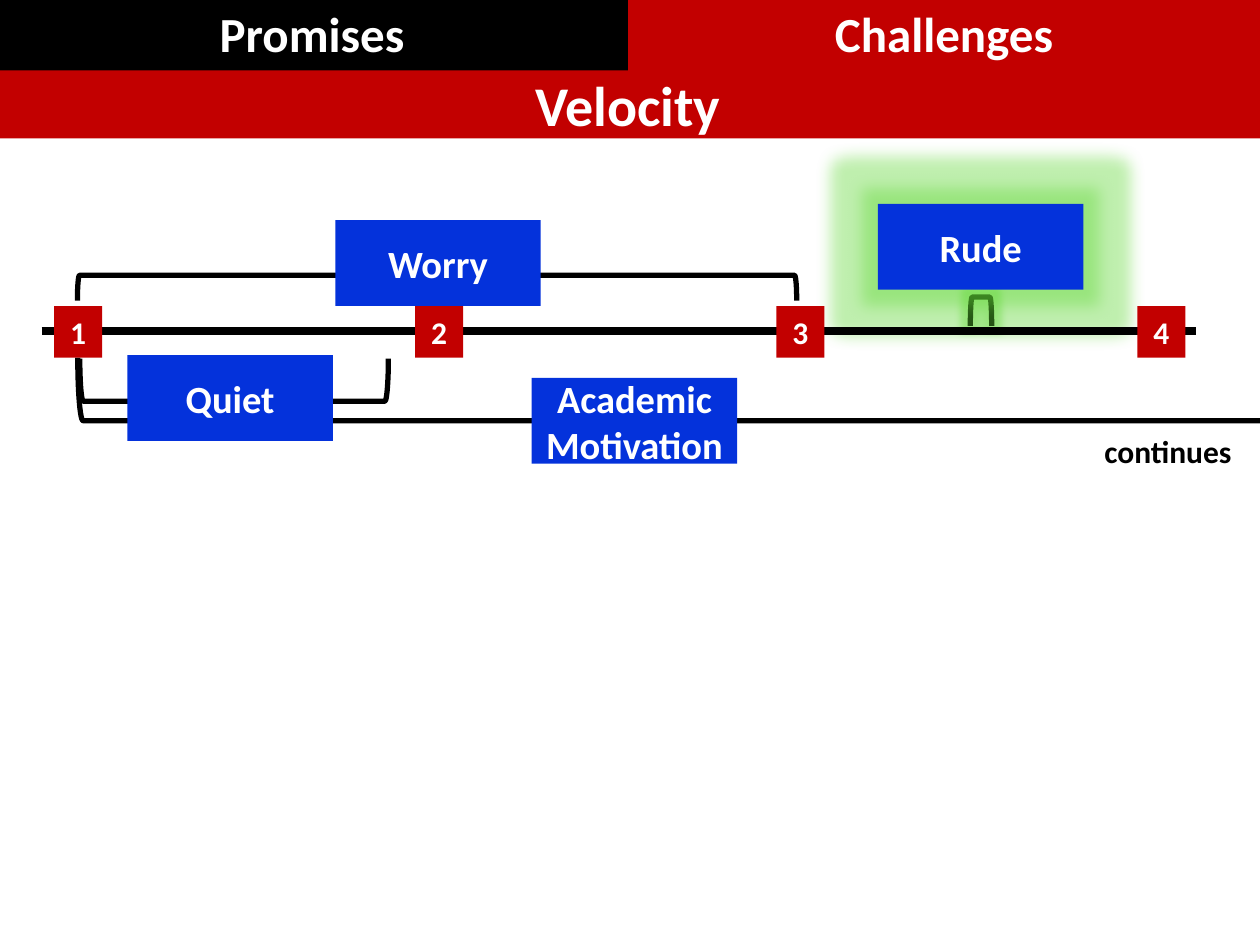
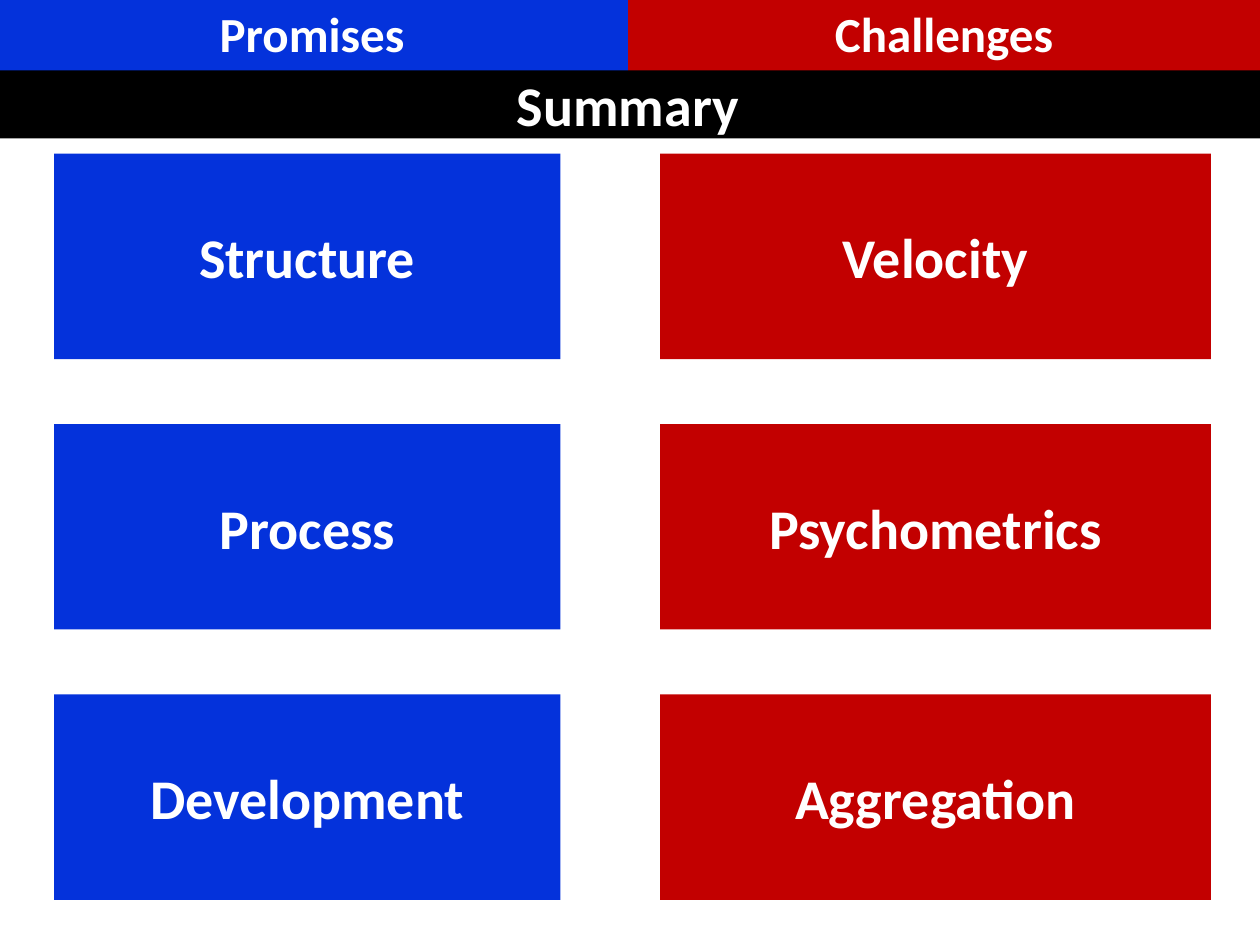
"""Build the velocity timeline and the summary slide of promises and challenges."""
from lxml.etree import SubElement
from pptx import Presentation
from pptx.dml.color import RGBColor
from pptx.enum.shapes import MSO_CONNECTOR as Connector, MSO_SHAPE as Shape
from pptx.enum.text import MSO_ANCHOR as Anchor, MSO_AUTO_SIZE as AutoSize, PP_ALIGN as Align
from pptx.oxml.ns import qn
from pptx.util import Cm, Pt

BLACK = RGBColor(0x00, 0x00, 0x00)
WHITE = RGBColor(0xFF, 0xFF, 0xFF)
BLUE = RGBColor(0x04, 0x32, 0xDB)
RED = RGBColor(0xC2, 0x00, 0x00)
GREEN = RGBColor(0x61, 0xD8, 0x36)
FONT = "Calibri"
PLAIN_TABLE = "{2D5ABB26-0587-4C30-8999-92F81FD0307C}"
BAND_LEFT, BAND_WIDTH = -0.08, 25.48


def write(frame, words, size, color=WHITE):
    frame.word_wrap = True
    para = frame.paragraphs[0]
    para.alignment = Align.CENTER
    span = para.add_run()
    span.text = words
    span.font.name = FONT
    span.font.size = Pt(size)
    span.font.bold = True
    span.font.color.rgb = color


def add_block(page, words, size, color, left, top, width, height):
    box = page.shapes.add_shape(Shape.RECTANGLE, Cm(left), Cm(top), Cm(width), Cm(height))
    box.shadow.inherit = False
    box.fill.solid()
    box.fill.fore_color.rgb = color
    box.line.fill.background()
    box.text_frame.vertical_anchor = Anchor.MIDDLE
    write(box.text_frame, words, size)
    return box


deck = Presentation()
deck.slide_width, deck.slide_height = Cm(25.4), Cm(19.05)

pages = []
for heading, heading_color, promises_color in [("Velocity", RED, BLACK), ("Summary", BLACK, BLUE)]:
    page = deck.slides.add_slide(deck.slide_layouts[5])
    pages.append(page)

    frame = page.shapes.add_table(1, 2, Cm(BAND_LEFT), Cm(-0.05), Cm(BAND_WIDTH), Cm(1.55))
    tabs = frame.table
    tabs.first_row = tabs.horz_banding = False
    next(frame.element.iter(qn("a:tableStyleId"))).text = PLAIN_TABLE
    for cell, words, color in zip(tabs.rows[0].cells, ["Promises", "Challenges"], [promises_color, RED]):
        cell.fill.solid()
        cell.fill.fore_color.rgb = color
        cell.vertical_anchor = Anchor.MIDDLE
        write(cell.text_frame, words, 28)

    title = page.shapes.title
    title.left, title.top, title.width, title.height = Cm(BAND_LEFT), Cm(1.42), Cm(BAND_WIDTH), Cm(1.37)
    title.fill.solid()
    title.fill.fore_color.rgb = heading_color
    title.text_frame.auto_size = AutoSize.NONE
    title.text_frame.vertical_anchor = Anchor.MIDDLE
    write(title.text_frame, heading, 32)
    page.shapes.element.append(title.element)

velocity, summary = pages

brackets = []
for left, top, width, height, turn in [
    (1.56, 5.55, 14.5, 0.51, 90),
    (1.57, 7.21, 29.77, 1.27, 270),
    (1.61, 7.23, 6.22, 0.86, 270),
    (19.56, 5.99, 0.43, 0.58, 90),
]:
    bracket = velocity.shapes.add_shape(
        Shape.LEFT_BRACKET,
        Cm(left + (width - height) / 2), Cm(top + (height - width) / 2), Cm(height), Cm(width),
    )
    bracket.rotation = turn
    bracket.shadow.inherit = False
    bracket.fill.background()
    bracket.line.color.rgb = BLACK
    bracket.line.width = Pt(3)
    brackets.append(bracket)

states = {}
for words, left, top in [
    ("Worry", 6.76, 4.44),
    ("Rude", 17.7, 4.11),
    ("Academic Motivation", 10.72, 7.62),
    ("Quiet", 2.57, 7.16),
]:
    states[words] = add_block(velocity, words, 22, BLUE, left, top, 4.14, 1.73)

for shape, radius in [(states["Rude"], 18), (brackets[-1], 8)]:
    effects = shape.element.spPr.find(qn("a:effectLst"))
    glow = SubElement(effects, qn("a:glow"), rad=str(Pt(radius)))
    tint = SubElement(glow, qn("a:srgbClr"), val=str(GREEN))
    SubElement(tint, qn("a:alpha"), val="40000")

timeline = velocity.shapes.add_connector(Connector.STRAIGHT, Cm(0.84), Cm(6.68), Cm(24.1), Cm(6.68))
timeline.line.color.rgb = BLACK
timeline.line.width = Pt(4.5)
SubElement(timeline.element.spPr, qn("a:effectLst"))

for step in range(4):
    add_block(velocity, str(step + 1), 18, RED, 1.09 + 7.28 * step, 6.17, 0.97, 1.04)

note = velocity.shapes.add_textbox(Cm(21.92), Cm(8.59), Cm(3.25), Cm(1.02))
write(note.text_frame, "continues", 18, BLACK)

for color, left, width, topics in [
    (BLUE, 1.09, 10.21, ["Structure", "Process", "Development"]),
    (RED, 13.31, 11.1, ["Velocity", "Psychometrics", "Aggregation"]),
]:
    for row, topic in enumerate(topics):
        add_block(summary, topic, 32, color, left, 3.1 + 5.45 * row, width, 4.14)

deck.save("out.pptx")
